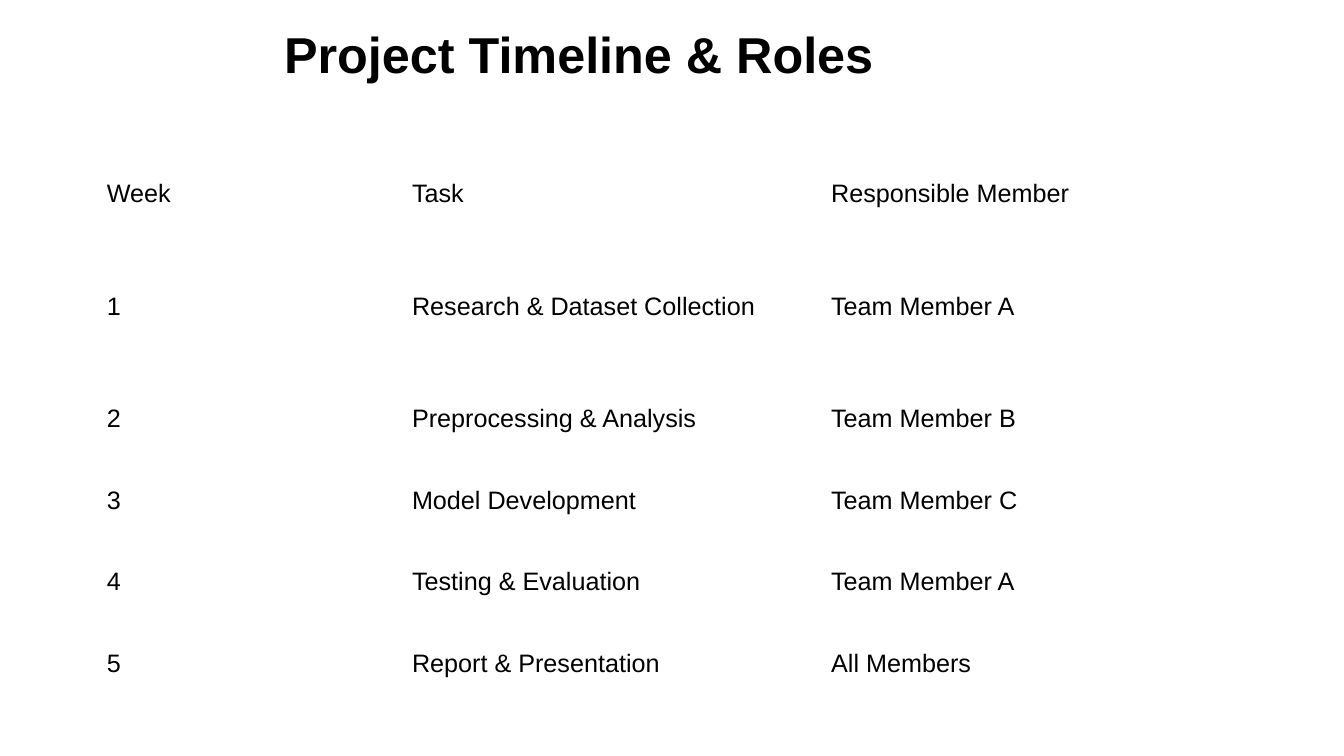
from dataclasses import dataclass

from pptx import Presentation
from pptx import util as u
from pptx.dml.color import RGBColor
from pptx.enum import text

EMU_PER_PX = 9144  # 100 px to the inch


@dataclass(frozen=True)
class Theme:
    font: str = "Arial"
    ink: RGBColor = RGBColor(0, 0, 0)
    title_size: int = 36
    table_size: int = 18


@dataclass(frozen=True)
class Box:
    left: int
    top: int
    width: int
    height: int

    def emu(self) -> tuple[u.Emu, ...]:
        return tuple(px(n) for n in (self.left, self.top, self.width, self.height))


@dataclass(frozen=True)
class Assignment:
    week: str
    task: str
    member: str
    height: int = 81

    def texts(self) -> tuple[str, str, str]:
        return self.week, self.task, self.member


THEME = Theme()
SLIDE_SIZE = (1334, 750)
TITLE_BOX = Box(67, 21, 1200, 64)
TITLE_INDENT = 215
TABLE_BOX = Box(96, 152, 1135, 547)
COLUMN_WIDTHS = (303, 416, 416)
ASSIGNMENTS = (
    Assignment("Week", "Task", "Responsible Member"),
    Assignment("1", "Research & Dataset Collection", "Team Member A", 142),
    Assignment("2", "Preprocessing & Analysis", "Team Member B"),
    Assignment("3", "Model Development", "Team Member C"),
    Assignment("4", "Testing & Evaluation", "Team Member A"),
    Assignment("5", "Report & Presentation", "All Members"),
)


def px(length: int) -> u.Emu:
    return u.Emu(length * EMU_PER_PX)


def add_run(paragraph, words: str, size: int, bold: bool = False) -> None:
    run = paragraph.add_run()
    run.text = words
    run.font.name = THEME.font
    run.font.size = u.Pt(size)
    run.font.bold = bold
    run.font.color.rgb = THEME.ink


def add_title(slide, words: str) -> None:
    frame = slide.shapes.add_textbox(*TITLE_BOX.emu()).text_frame
    frame.word_wrap = True
    frame.vertical_anchor = text.MSO_ANCHOR.MIDDLE
    frame.margin_left = px(TITLE_INDENT)
    add_run(frame.paragraphs[0], words, THEME.title_size, bold=True)


def add_timeline(slide, assignments: tuple[Assignment, ...]) -> None:
    table = slide.shapes.add_table(
        len(assignments), len(COLUMN_WIDTHS), *TABLE_BOX.emu()
    ).table
    table.first_row = False
    table.horz_banding = False
    for column, width in zip(table.columns, COLUMN_WIDTHS):
        column.width = px(width)
    for row, assignment in zip(table.rows, assignments):
        row.height = px(assignment.height)
        for cell, words in zip(row.cells, assignment.texts()):
            cell.fill.background()
            cell.vertical_anchor = text.MSO_ANCHOR.MIDDLE
            add_run(cell.text_frame.paragraphs[0], words, THEME.table_size)


def main() -> None:
    presentation = Presentation()
    presentation.slide_width, presentation.slide_height = map(px, SLIDE_SIZE)
    slide = presentation.slides.add_slide(presentation.slide_layouts[6])

    # Heading
    add_title(slide, "Project Timeline & Roles")

    # Weekly tasks and the members who do them
    add_timeline(slide, ASSIGNMENTS)

    presentation.save("out.pptx")


if __name__ == "__main__":
    main()
